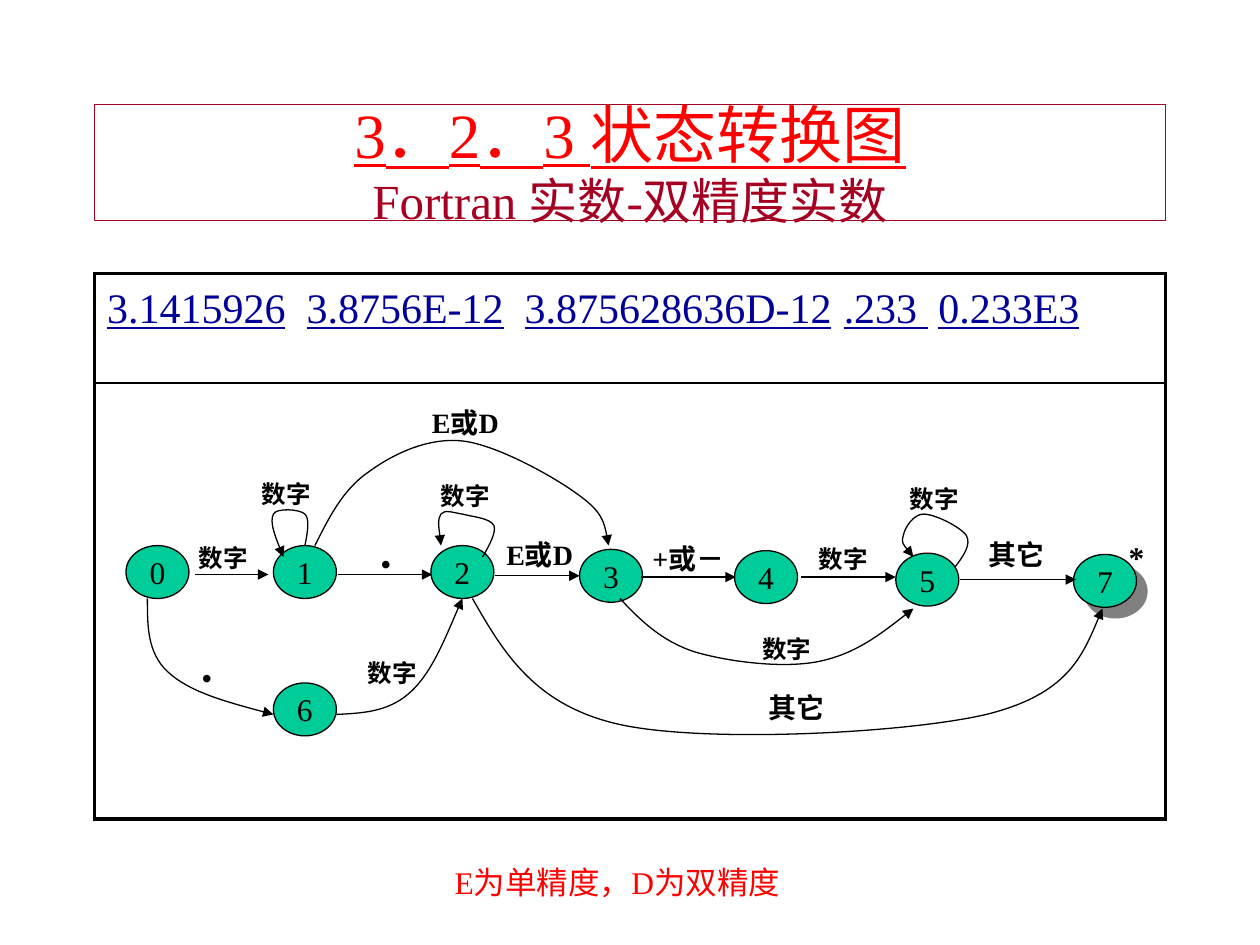
from lxml.etree import SubElement
from pptx import Presentation
from pptx.dml.color import RGBColor
from pptx.enum.shapes import MSO_CONNECTOR, MSO_SHAPE
from pptx.enum.text import MSO_ANCHOR, PP_ALIGN
from pptx.oxml.ns import qn
from pptx.util import Emu, Inches, Pt

FONT = "Times New Roman"
BLACK, RED, MAROON, NAVY, GREEN, GRAY = "000000", "FF0000", "A50021", "000099", "00CC99", "808080"
FRAME_LEFT, FRAME_WIDTH = 0.75, 8.5
NODE_WIDTH, NODE_HEIGHT = 0.5, 0.42

TITLE = [
    [("3．2．3 状态转换图", dict(size=36, color=RED, underline=True))],
    [("Fortran 实数-双精度实数", dict(size=28, color=MAROON))],
]
NUMBERS = [
    ("3.1415926", True), ("  ", False), ("3.8756E-12", True), ("  ", False),
    ("3.875628636D-12", True), (" ", False), (".233 ", True), (" ", False), ("0.233E3", True),
]
ROW_HEIGHTS = [0.87, 3.46]
ROW_BORDERS = [
    dict(lnL=2.25, lnR=2.25, lnT=2.25, lnB=1),
    dict(lnL=2.25, lnR=2.25, lnT=1, lnB=2.25),
]
STATES = {
    "0": (1, 4.33), "1": (2.17, 4.33), "2": (3.42, 4.33), "3": (4.6, 4.36),
    "4": (5.83, 4.37), "5": (7.11, 4.39), "7": (8.52, 4.4), "6": (2.17, 5.42),
}
FINAL_STATE = "7"
STRAIGHT_MOVES = [
    (1.55, 2.13, 4.56), (2.68, 3.43, 4.56), (3.93, 4.6, 4.57),
    (5.09, 5.84, 4.58), (6.36, 7.11, 4.58), (7.62, 8.54, 4.6),
]
CURVED_MOVES = {
    "0 to 6": [(1.17, 4.75), (1.17, 4.97), (1.17, 5.18), (1.33, 5.33),
               (1.5, 5.49), (1.83, 5.58), (2.17, 5.67)],
    "6 to 2": [(2.67, 5.67), (2.88, 5.66), (3.08, 5.65), (3.25, 5.5),
               (3.42, 5.35), (3.54, 5.05), (3.67, 4.75)],
    "1 to 1": [(2.42, 4.33), (2.44, 4.23), (2.46, 4.12), (2.42, 4.08), (2.38, 4.04),
               (2.19, 4.03), (2.17, 4.08), (2.14, 4.14), (2.19, 4.28), (2.25, 4.42)],
    "2 to 2": [(3.83, 4.42), (3.89, 4.32), (3.94, 4.22), (3.92, 4.17), (3.89, 4.11),
               (3.74, 4.1), (3.67, 4.08), (3.6, 4.07), (3.53, 4.04), (3.5, 4.08),
               (3.47, 4.12), (3.49, 4.23), (3.5, 4.33)],
    "1 to 3": [(2.5, 4.33), (2.61, 4.11), (2.72, 3.89), (2.92, 3.75), (3.11, 3.61),
               (3.39, 3.47), (3.67, 3.5), (3.94, 3.53), (4.39, 3.78), (4.58, 3.92),
               (4.78, 4.06), (4.81, 4.19), (4.83, 4.33)],
    "5 to 5": [(7.58, 4.5), (7.65, 4.41), (7.71, 4.32), (7.67, 4.25), (7.62, 4.18),
               (7.42, 4.08), (7.33, 4.08), (7.25, 4.08), (7.18, 4.19), (7.17, 4.25),
               (7.15, 4.31), (7.2, 4.36), (7.25, 4.42)],
    "3 to 5": [(4.92, 4.75), (5.08, 4.92), (5.24, 5.08), (5.5, 5.17), (5.76, 5.25),
               (6.21, 5.31), (6.5, 5.25), (6.79, 5.19), (7.02, 5.01), (7.25, 4.83)],
    "2 to 7": [(3.75, 4.75), (3.99, 5.17), (4.24, 5.6), (4.92, 5.75), (5.6, 5.9),
               (7.19, 5.82), (7.83, 5.67), (8.47, 5.51), (8.61, 5.17), (8.75, 4.83)],
}
LABELS = [
    ("数字", 0.6, 0.33, dict(size=14, bold=True),
     [(1.48, 4.26), (1.98, 3.75), (3.4, 3.77), (2.82, 5.17), (5.95, 4.98), (6.4, 4.27), (7.12, 3.79)]),
    ("E或D", 0.75, 0.37, dict(size=16, bold=True), [(3.33, 3.17), (3.92, 4.22)]),
    ("+或－", 0.83, 0.37, dict(size=16, bold=True), [(5.08, 4.25)]),
    ("其它", 0.75, 0.37, dict(size=16, bold=True), [(6, 5.43), (7.75, 4.22)]),
    ("•", 0.33, 0.4, dict(size=18), [(1.5, 5.17), (2.92, 4.27)]),
    ("*", 0.33, 0.4, dict(size=18, bold=True), [(8.86, 4.22)]),
    ("E为单精度，D为双精度", 2.81, 0.4, dict(size=18, color=RED), [(3.51, 6.8)]),
]


def rgb(color):
    return RGBColor.from_string(color)


def add_span(para, text, size=18, color=BLACK, bold=False, underline=False):
    span = para.add_run()
    span.text = text
    span.font.name, span.font.size = FONT, Pt(size)
    span.font.bold, span.font.underline = bold, underline
    span.font.color.rgb = rgb(color)


def add_box(page, left, top, width, height, text, **look):
    box = page.shapes.add_textbox(Inches(left), Inches(top), Inches(width), Inches(height))
    box.text_frame.word_wrap = True
    if text:
        add_span(box.text_frame.paragraphs[0], text, **look)
    return box


def set_line(shape, color=BLACK, width=0.75):
    shape.line.color.rgb = rgb(color)
    shape.line.width = Pt(width)


def add_arrowhead(shape):
    SubElement(shape.line._get_or_add_ln(), qn("a:tailEnd"), type="triangle")


def add_title(page):
    box = add_box(page, FRAME_LEFT, 0.83, FRAME_WIDTH, 0.92, "")
    set_line(box, MAROON)
    frame = box.text_frame
    frame.vertical_anchor = MSO_ANCHOR.MIDDLE
    for index, spans in enumerate(TITLE):
        para = frame.add_paragraph() if index else frame.paragraphs[0]
        para.alignment = PP_ALIGN.CENTER
        for text, look in spans:
            add_span(para, text, **look)


def add_frame_table(page):
    table = page.shapes.add_table(
        len(ROW_HEIGHTS), 1, Inches(FRAME_LEFT), Inches(2.17),
        Inches(FRAME_WIDTH), Inches(sum(ROW_HEIGHTS))).table
    table.first_row = table.horz_banding = False
    for index, (height, borders) in enumerate(zip(ROW_HEIGHTS, ROW_BORDERS)):
        table.rows[index].height = Inches(height)
        cell = table.cell(index, 0)
        properties = cell._tc.get_or_add_tcPr()
        for side, width in borders.items():
            border = SubElement(properties, qn("a:" + side), w=str(Pt(width)))
            SubElement(SubElement(border, qn("a:solidFill")), qn("a:srgbClr"), val=BLACK)
        cell.fill.background()
    para = table.cell(0, 0).text_frame.paragraphs[0]
    for text, underline in NUMBERS:
        size = 28 if text == " " and para.runs[-1].text.endswith("D-12") else 24
        add_span(para, text, size=size, color=NAVY, underline=underline)


def add_state(page, name, left, top):
    state = page.shapes.add_shape(MSO_SHAPE.OVAL, Inches(left), Inches(top),
                                  Inches(NODE_WIDTH), Inches(NODE_HEIGHT))
    state.shadow.inherit = False
    state.fill.solid()
    state.fill.fore_color.rgb = rgb(GREEN)
    set_line(state)
    frame = state.text_frame
    frame.word_wrap = False
    frame.vertical_anchor = MSO_ANCHOR.MIDDLE
    frame.paragraphs[0].alignment = PP_ALIGN.CENTER
    add_span(frame.paragraphs[0], name)
    if name == FINAL_STATE:
        effects = state._element.spPr.find(qn("a:effectLst"))
        shadow = SubElement(effects, qn("a:outerShdw"), dist=str(Pt(8.5)),
                            dir=str(45 * 60000), algn="ctr", rotWithShape="0")
        SubElement(shadow, qn("a:srgbClr"), val=GRAY)


def add_straight_move(page, start, end, level):
    arrow = page.shapes.add_connector(MSO_CONNECTOR.STRAIGHT, Inches(start), Inches(level),
                                      Inches(end), Inches(level))
    set_line(arrow)
    add_arrowhead(arrow)
    SubElement(arrow._element.spPr, qn("a:effectLst"))


def add_curved_move(page, points):
    """Draw a chain of cubic curves through every third point."""
    start, *rest = [(Inches(x), Inches(y)) for x, y in points]
    builder = page.shapes.build_freeform(*start, scale=Emu(1))
    builder.add_line_segments(rest, close=False)
    curve = builder.convert_to_shape()
    curve.shadow.inherit = False
    curve.fill.background()
    set_line(curve)
    add_arrowhead(curve)
    outline = next(curve._element.iter(qn("a:path")))
    segments = outline.findall(qn("a:lnTo"))
    for first in range(0, len(segments), 3):
        cubic = SubElement(outline, qn("a:cubicBezTo"))
        for segment in segments[first:first + 3]:
            cubic.append(segment[0])
            outline.remove(segment)


def main():
    deck = Presentation()
    deck.slide_width, deck.slide_height = Inches(10), Inches(7.5)
    page = deck.slides.add_slide(deck.slide_layouts[6])
    add_title(page)
    add_frame_table(page)
    for name, place in STATES.items():
        add_state(page, name, *place)
    for move in STRAIGHT_MOVES:
        add_straight_move(page, *move)
    for points in CURVED_MOVES.values():
        add_curved_move(page, points)
    for text, width, height, look, places in LABELS:
        for left, top in places:
            add_box(page, left, top, width, height, text, **look)
    deck.save("out.pptx")


if __name__ == "__main__":
    main()
